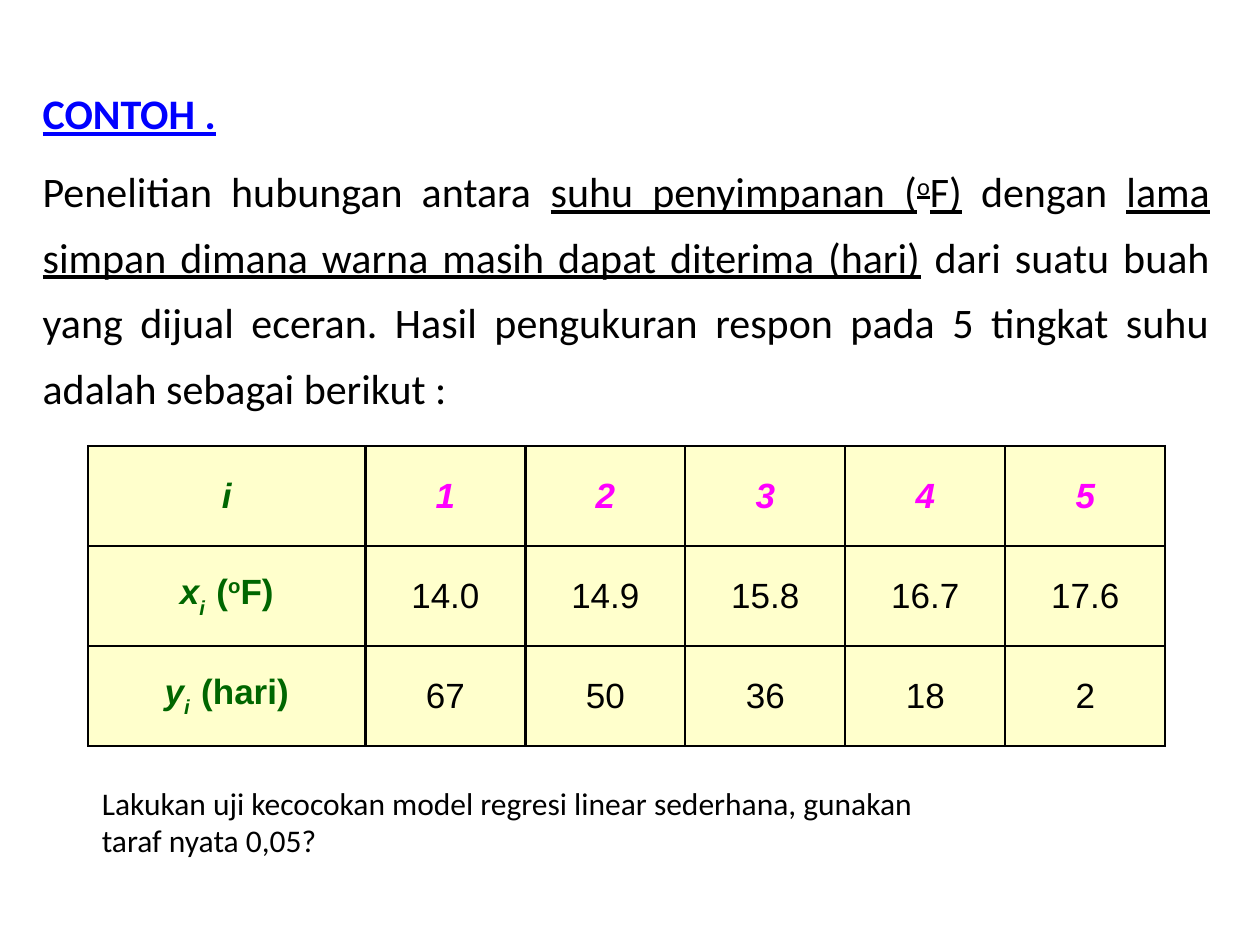
import pptx
import pptx.util
import pptx.dml.color
import pptx.enum.text
import pptx.oxml
import pptx.oxml.ns
from pptx.util import Inches

COLORS = {"heading": "0000FF", "text": "000000", "label": "006600",
          "index": "FF00FF", "cell": "FFFFCC", "border": "000000"}
BODY = {"name": "Calibri", "size": pptx.util.Pt(24), "color": "text"}
HEADING = {**BODY, "color": "heading", "bold": True, "underline": True}
UNDERLINED = {**BODY, "underline": True}
NOTE = {**BODY, "size": pptx.util.Pt(18)}
VALUE = {"name": "Arial", "size": pptx.util.Pt(20), "color": "text",
         "bold": False, "italic": False}
LABEL = {**VALUE, "color": "label", "bold": True}
SYMBOL = {**LABEL, "italic": True}
INDEX = {**SYMBOL, "color": "index"}
SUBSCRIPT = {**SYMBOL, "baseline": -30}
SUPERSCRIPT = {**LABEL, "baseline": 30}

INTRODUCTION = [
    ("Penelitian hubungan antara ", BODY),
    ("suhu penyimpanan (", UNDERLINED),
    ("o", {**UNDERLINED, "baseline": 30}),
    ("F)", UNDERLINED),
    (" dengan ", BODY),
    ("lama simpan dimana warna masih dapat diterima (hari)", UNDERLINED),
    (" dari suatu buah yang dijual eceran. Hasil pengukuran respon pada 5 "
     "tingkat suhu adalah sebagai berikut :", BODY),
]
TABLE_ROWS = [
    ([("i", SYMBOL)], ["1", "2", "3", "4", "5"], INDEX),
    ([("x", SYMBOL), ("i  ", SUBSCRIPT), ("(", LABEL), ("o", SUPERSCRIPT), ("F)", LABEL)],
     ["14.0", "14.9", "15.8", "16.7", "17.6"], VALUE),
    ([("y", SYMBOL), ("i  ", SUBSCRIPT), ("(hari)", LABEL)],
     ["67", "50", "36", "18", "2"], VALUE),
]


def rgb(name):
    return pptx.dml.color.RGBColor.from_string(COLORS[name])


def add_runs(paragraph, runs):
    """Add (text, format) runs; baseline is a percentage of the text size."""
    for text, run_format in runs:
        run = paragraph.add_run()
        run.text = text
        for attribute, value in run_format.items():
            if attribute == "color":
                run.font.color.rgb = rgb(value)
            elif attribute == "baseline":
                run._r.get_or_add_rPr().set("baseline", str(value * 1000))
            else:
                setattr(run.font, attribute, value)


def add_text_frame(slide, left, top, width, height):
    frame = slide.shapes.add_textbox(left, top, width, height).text_frame
    frame.word_wrap = True
    return frame


def add_introduction(slide, left, top, width, height):
    frame = add_text_frame(slide, left, top, width, height)
    frame.vertical_anchor = pptx.enum.text.MSO_ANCHOR.MIDDLE
    heading, body = frame.paragraphs[0], frame.add_paragraph()
    add_runs(heading, [("CONTOH .", HEADING)])
    add_runs(body, INTRODUCTION)
    body.space_before = pptx.util.Pt(7.2)
    for paragraph in (heading, body):
        paragraph.alignment = pptx.enum.text.PP_ALIGN.JUSTIFY
        paragraph.line_spacing = 1.3


def format_cell(cell, runs):
    properties = cell._tc.get_or_add_tcPr()
    for side in ("lnL", "lnR", "lnT", "lnB"):
        properties.append(pptx.oxml.parse_xml(
            f'<a:{side} {pptx.oxml.ns.nsdecls("a")} w="{pptx.util.Pt(1.5)}"><a:solidFill>'
            f'<a:srgbClr val="{COLORS["border"]}"/></a:solidFill></a:{side}>'))
    cell.fill.solid()
    cell.fill.fore_color.rgb = rgb("cell")
    cell.vertical_anchor = pptx.enum.text.MSO_ANCHOR.MIDDLE
    paragraph = cell.text_frame.paragraphs[0]
    paragraph.alignment = pptx.enum.text.PP_ALIGN.CENTER
    add_runs(paragraph, runs)


def add_measurements(slide, left, top, width, height):
    value_count = len(TABLE_ROWS[0][1])
    table = slide.shapes.add_table(
        len(TABLE_ROWS), value_count + 1, left, top, width, height).table
    value_width = Inches(1.27)
    for column in table.columns:
        column.width = value_width
    table.columns[0].width = width - value_count * value_width
    for row, (label, values, value_format) in enumerate(TABLE_ROWS):
        cells = [label] + [[(value, value_format)] for value in values]
        for column, runs in enumerate(cells):
            format_cell(table.cell(row, column), runs)


def add_task(slide, left, top, width, height):
    frame = add_text_frame(slide, left, top, width, height)
    add_runs(frame.paragraphs[0], [
        ("Lakukan uji kecocokan model regresi linear sederhana, gunakan "
         "taraf nyata 0,05?", NOTE)])


def main():
    presentation = pptx.Presentation()
    presentation.slide_width = Inches(10)
    presentation.slide_height = Inches(7.5)
    slide = presentation.slides.add_slide(presentation.slide_layouts[6])
    add_introduction(slide, Inches(0.24), Inches(0.5), Inches(9.46), Inches(2.85))
    add_measurements(slide, Inches(0.7), Inches(3.54), Inches(8.55), Inches(2.38))
    add_task(slide, Inches(0.71), Inches(6.17), Inches(6.92), Inches(0.71))
    presentation.save("out.pptx")


if __name__ == "__main__":
    main()
